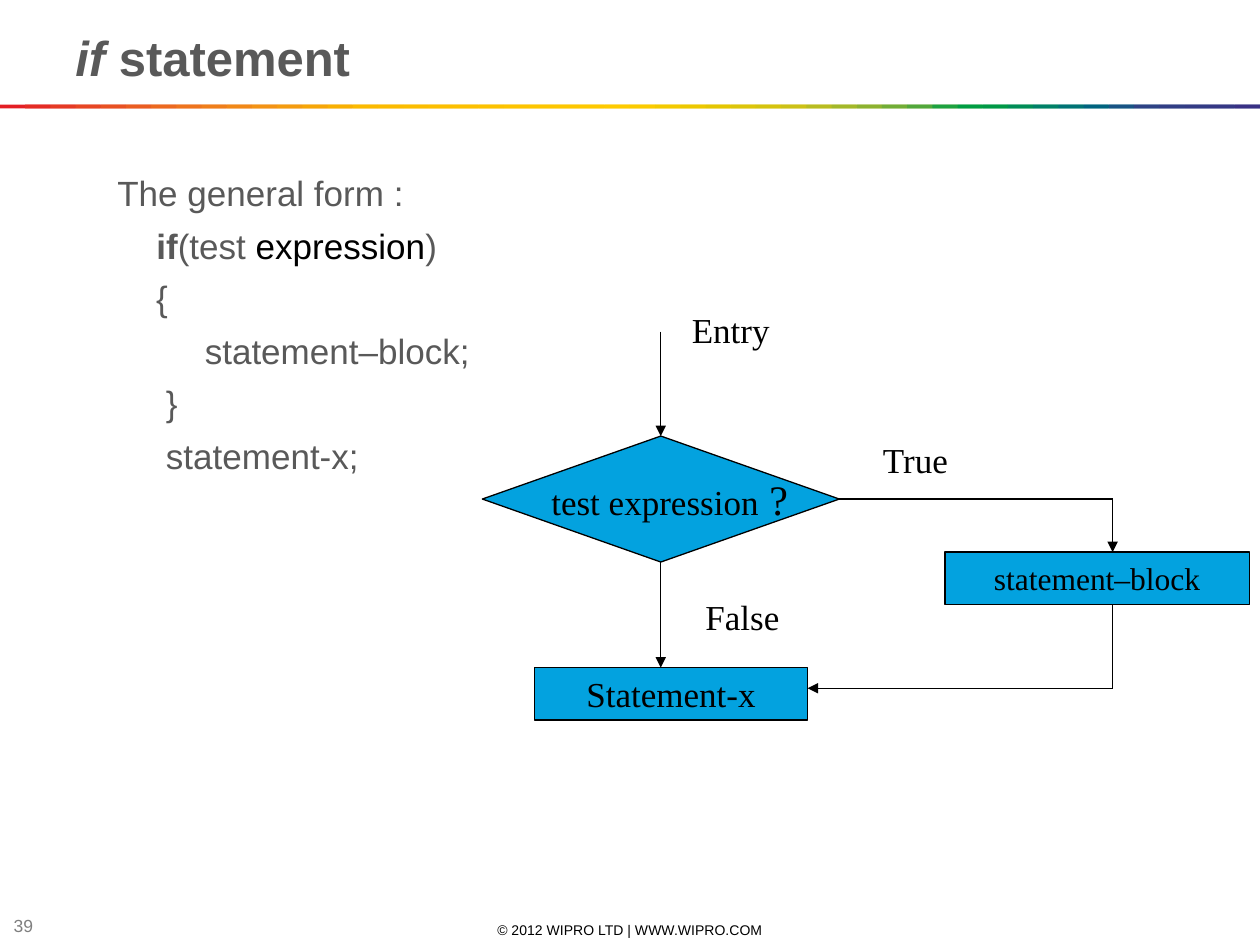
from dataclasses import dataclass, field
from typing import Any, Optional

from pptx import Presentation
from pptx.dml.color import RGBColor
from pptx.enum.shapes import MSO_CONNECTOR, MSO_SHAPE
from pptx.enum.text import MSO_ANCHOR, PP_ALIGN
from pptx.oxml import parse_xml
from pptx.oxml.ns import nsdecls
from pptx.util import Pt

STRAIGHT = MSO_CONNECTOR.STRAIGHT
RECTANGLE = MSO_SHAPE.RECTANGLE
DECISION = MSO_SHAPE.FLOWCHART_DECISION
TOP, MIDDLE, BOTTOM = MSO_ANCHOR.TOP, MSO_ANCHOR.MIDDLE, MSO_ANCHOR.BOTTOM
LEFT, CENTER = PP_ALIGN.LEFT, PP_ALIGN.CENTER

SANS, SERIF = "Arial", "Times New Roman"
BLACK = RGBColor(0x00, 0x00, 0x00)
DARK_GRAY = RGBColor(0x59, 0x59, 0x59)
MID_GRAY = RGBColor(0x7F, 0x7F, 0x7F)
NODE_BLUE = RGBColor(0x03, 0xA2, 0xDF)
RAINBOW = [RGBColor.from_string(code) for code in (
    "E31E24 E42C24 E53A24 E74623 E85122 EA5D21 EC691F EE741D EF7E1A F18817 "
    "F39314 F49C0F F6A607 F8B002 FBBA00 FBBB00 FBBD00 FCBF00 FCC000 FCC200 "
    "FDC400 FDC600 FDC700 FEC900 FECB00 FBCB00 F3CA00 ECC800 E4C602 DCC50A "
    "D5C30E CCC117 B8BC21 A3B829 8CB230 71AD36 51A73B 1DA240 009D43 009846 "
    "008C57 008068 007275 00637F 185384 2E4285 313E85 333B85 353885 393185"
).split()]

SLIDE_WIDTH, SLIDE_HEIGHT = 720, 540
RULE_TOP, RULE_HEIGHT = 59.8, 2.2
LINE_WIDTH = 0.75


@dataclass
class Run:
    text: str
    size: float
    font: str = SERIF
    color: RGBColor = BLACK
    style: dict[str, Any] = field(default_factory=dict)


@dataclass
class Box:
    left: float
    top: float
    width: float
    height: float
    lines: list[list[Run]]
    align: Any = LEFT
    anchor: Any = TOP
    wrap: bool = False
    space_before: float = 0
    margin_left: float = 7.2
    preset: Any = None


@dataclass
class Flow:
    start: tuple[float, float]
    end: tuple[float, float]
    arrow: bool = True
    begin_at: Optional[tuple[Any, int]] = None
    end_at: Optional[tuple[Any, int]] = None


def apply_format(target: Any, values: dict[str, Any]) -> None:
    for name, value in values.items():
        setattr(target, name, value)


def write_text(shape: Any, box: Box) -> None:
    frame = shape.text_frame
    apply_format(frame, {
        "word_wrap": box.wrap, "vertical_anchor": box.anchor,
        "margin_left": Pt(box.margin_left), "margin_right": Pt(7.2),
        "margin_top": Pt(3.6), "margin_bottom": Pt(3.6)})
    for index, line in enumerate(box.lines):
        paragraph = frame.add_paragraph() if index else frame.paragraphs[0]
        paragraph.alignment = box.align
        if index:
            paragraph.space_before = Pt(box.space_before)
        for part in line:
            run = paragraph.add_run()
            run.text = part.text
            apply_format(run.font, {"name": part.font, "size": Pt(part.size), **part.style})
            run.font.color.rgb = part.color


def draw_box(slide: Any, box: Box) -> Any:
    bounds = [Pt(length) for length in (box.left, box.top, box.width, box.height)]
    if box.preset is None:
        shape = slide.shapes.add_textbox(*bounds)
    else:
        shape = slide.shapes.add_shape(box.preset, *bounds)
        shape.shadow.inherit = False
        shape.fill.solid()
        shape.fill.fore_color.rgb = NODE_BLUE
        shape.line.color.rgb = BLACK
        shape.line.width = Pt(LINE_WIDTH)
    write_text(shape, box)
    return shape


def draw_flow(slide: Any, flow: Flow) -> None:
    connector = slide.shapes.add_connector(
        STRAIGHT, *(Pt(length) for length in flow.start + flow.end))
    if flow.begin_at:
        connector.begin_connect(*flow.begin_at)
    if flow.end_at:
        connector.end_connect(*flow.end_at)
    connector.line.color.rgb = BLACK
    connector.line.width = Pt(LINE_WIDTH)
    if flow.arrow:
        connector.line._get_or_add_ln().append(
            parse_xml(f'<a:tailEnd {nsdecls("a")} type="triangle"/>'))
    connector._element.spPr.append(parse_xml(f'<a:effectLst {nsdecls("a")}/>'))


def draw_rainbow_rule(slide: Any) -> None:
    step = SLIDE_WIDTH / len(RAINBOW)
    for index, color in enumerate(RAINBOW):
        left = index * step
        width = min(2 * step, SLIDE_WIDTH - left)
        band = slide.shapes.add_shape(
            RECTANGLE, Pt(left), Pt(RULE_TOP), Pt(width), Pt(RULE_HEIGHT))
        band.shadow.inherit = False
        band.fill.solid()
        band.fill.fore_color.rgb = color
        band.line.fill.background()


def code(text: str, color: RGBColor = DARK_GRAY, **style: Any) -> Run:
    return Run(text, 20, SANS, color, style)


def title_run(text: str, italic: bool) -> Run:
    return Run(text, 28, SANS, DARK_GRAY, {"bold": True, "italic": italic})


def branch_label(text: str, left: float, top: float, width: float) -> Box:
    return Box(left, top, width, 31.5, [[Run(text, 20)]])


def node(left: float, top: float, width: float, height: float, runs: list[Run],
         preset: Any = RECTANGLE, margin_left: float = 7.2) -> Box:
    return Box(left, top, width, height, [runs], CENTER, MIDDLE,
               margin_left=margin_left, preset=preset)


def main() -> None:
    deck = Presentation()
    deck.slide_width, deck.slide_height = Pt(SLIDE_WIDTH), Pt(SLIDE_HEIGHT)
    slide = deck.slides.add_slide(deck.slide_layouts[6])

    draw_rainbow_rule(slide)
    general_form = [
        [code("The general form :")],
        [code("    "), code("if", bold=True), code("(test "),
         code("expression", BLACK), code(")")],
        [code("    {")],
        [code("         statement–block;")],
        [code("     }")],
        [code("     statement-x;")],
    ]
    for box in (
        Box(246, 525.6, 228, 11.5,
            [[Run("© 2012 WIPRO LTD | WWW.WIPRO.COM", 8, SANS)]], CENTER, MIDDLE, True),
        Box(0.8, 523.4, 28, 11.5, [[Run("39", 10, SANS, MID_GRAY)]], LEFT, MIDDLE, True),
        Box(36, 12, 648, 41, [[title_run("if ", True), title_run("statement", False)]],
            anchor=BOTTOM, wrap=True),
        Box(60, 94.5, 252, 390, general_form, wrap=True, space_before=6),
        branch_label("Entry", 388.2, 173, 59),
        branch_label("True", 497.5, 247, 52),
        branch_label("False", 396, 337, 57),
    ):
        draw_box(slide, box)

    test = draw_box(slide, node(275.6, 249.2, 204, 72,
                                [Run("test expression", 20), Run(" ?", 24)], DECISION, 17.2))
    draw_box(slide, node(305.5, 381.5, 156, 30, [Run("Statement-x", 20)]))
    draw_box(slide, node(540, 315.5, 174, 30, [Run("statement–block", 18)]))

    axis, branch = 377.6, 635.8
    for flow in (
        Flow((axis, 189.5), (axis, 249.2), end_at=(test, 0)),
        Flow((axis, 321.2), (axis, 381.5), begin_at=(test, 2)),
        Flow((479.6, 285.2), (branch, 285.2), arrow=False, begin_at=(test, 3)),
        Flow((branch, 285.2), (branch, 315.5)),
        Flow((branch, 345.5), (branch, 393.3), arrow=False),
        Flow((branch, 393.3), (461.5, 393.3)),
    ):
        draw_flow(slide, flow)

    deck.save("out.pptx")


if __name__ == "__main__":
    main()
